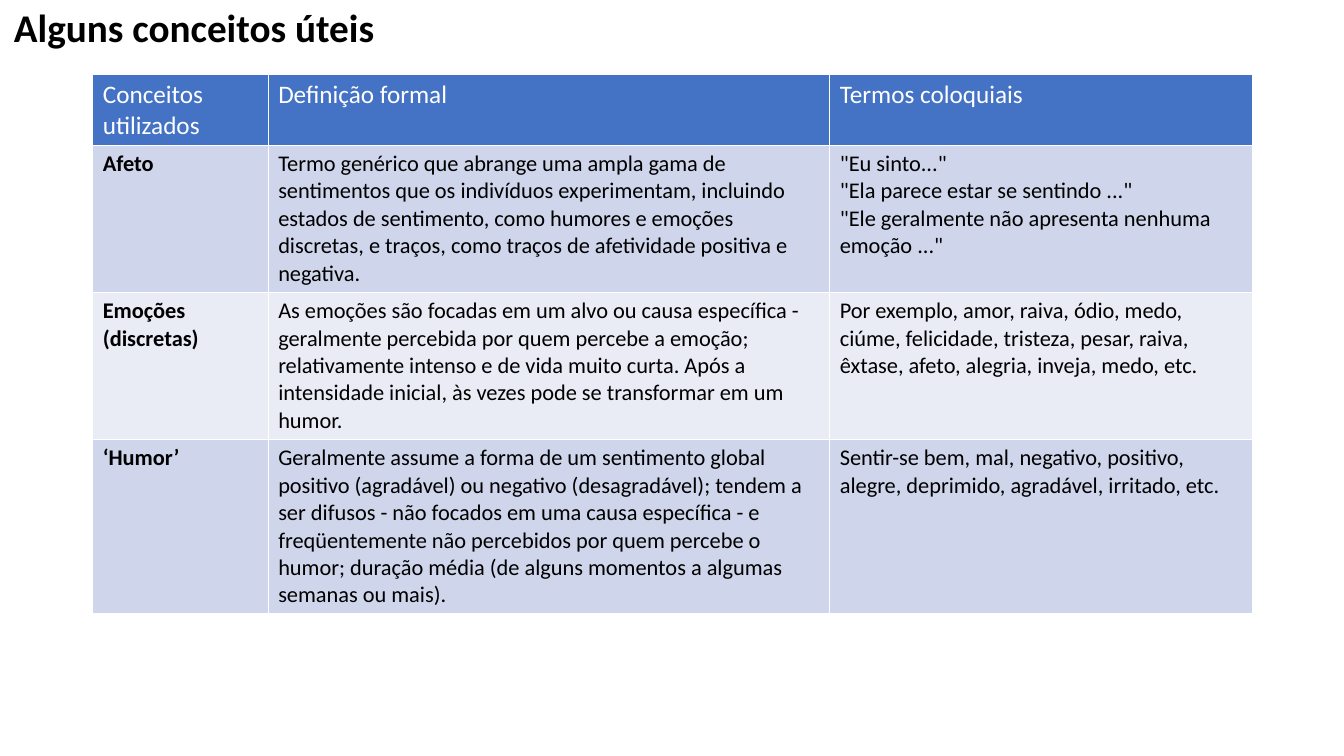
"""Build a slide with a table of useful concepts about affect, emotion and mood."""
from pptx import Presentation
from pptx.dml.color import RGBColor
from pptx.enum.text import MSO_ANCHOR
from pptx.util import Inches, Pt

MIDDLE = MSO_ANCHOR.MIDDLE
FONT = "Calibri"
HEADER_FILL = "4472C4"
BAND_FILLS = ["E9EBF5", "CFD5EA"]
COLUMN_WIDTHS = [1.74, 5.57, 4.19]
ROW_HEIGHTS = [0.7, 1.46, 1.46, 1.73]
CONCEPTS = [
    ["Conceitos utilizados", "Definição formal", "Termos coloquiais"],
    [
        "Afeto",
        "Termo genérico que abrange uma ampla gama de sentimentos que os indivíduos "
        "experimentam, incluindo estados de sentimento, como humores e emoções "
        "discretas, e traços, como traços de afetividade positiva e negativa.",
        '"Eu sinto..."\n"Ela parece estar se sentindo ..."\n'
        '"Ele geralmente não apresenta nenhuma emoção ..."',
    ],
    [
        "Emoções (discretas)",
        "As emoções são focadas em um alvo ou causa específica - geralmente percebida "
        "por quem percebe a emoção; relativamente intenso e de vida muito curta. Após a "
        "intensidade inicial, às vezes pode se transformar em um humor.",
        "Por exemplo, amor, raiva, ódio, medo, ciúme, felicidade, tristeza, pesar, "
        "raiva, êxtase, afeto, alegria, inveja, medo, etc.",
    ],
    [
        "‘Humor’",
        "Geralmente assume a forma de um sentimento global positivo (agradável) ou "
        "negativo (desagradável); tendem a ser difusos - não focados em uma causa "
        "específica - e freqüentemente não percebidos por quem percebe o humor; duração "
        "média (de alguns momentos a algumas semanas ou mais).",
        "Sentir-se bem, mal, negativo, positivo, alegre, deprimido, agradável, "
        "irritado, etc.",
    ],
]


def rgb(value):
    return RGBColor.from_string(value)


def style(paragraph, size, color, bold):
    font = paragraph.font
    font.name, font.size, font.bold = FONT, Pt(size), bold
    font.color.rgb = rgb(color)


prs = Presentation()
prs.slide_width, prs.slide_height = Inches(13.33), Inches(7.5)
slide = prs.slides.add_slide(prs.slide_layouts[6])

title = slide.shapes.add_textbox(
    Inches(0.04), Inches(0), Inches(13.29), Inches(0.59)
).text_frame
title.word_wrap = True
title.vertical_anchor = MIDDLE
title.text = "Alguns conceitos úteis"
title.paragraphs[0].line_spacing = 0.9
style(title.paragraphs[0], 28, "000000", True)

concept_table = slide.shapes.add_table(
    len(CONCEPTS), len(COLUMN_WIDTHS), Inches(0.92), Inches(0.74),
    Inches(sum(COLUMN_WIDTHS)), Inches(sum(ROW_HEIGHTS)),
).table
for column, width in zip(concept_table.columns, COLUMN_WIDTHS):
    column.width = Inches(width)

for r, (texts, height) in enumerate(zip(CONCEPTS, ROW_HEIGHTS)):
    concept_table.rows[r].height = Inches(height)
    header = r == 0
    for c, text in enumerate(texts):
        cell = concept_table.cell(r, c)
        cell.fill.solid()
        cell.fill.fore_color.rgb = rgb(HEADER_FILL if header else BAND_FILLS[r % 2])
        cell.text = text
        for paragraph in cell.text_frame.paragraphs:
            if header:
                style(paragraph, 18, "FFFFFF", False)
            else:
                style(paragraph, 16, "000000", c == 0)

prs.save("out.pptx")
